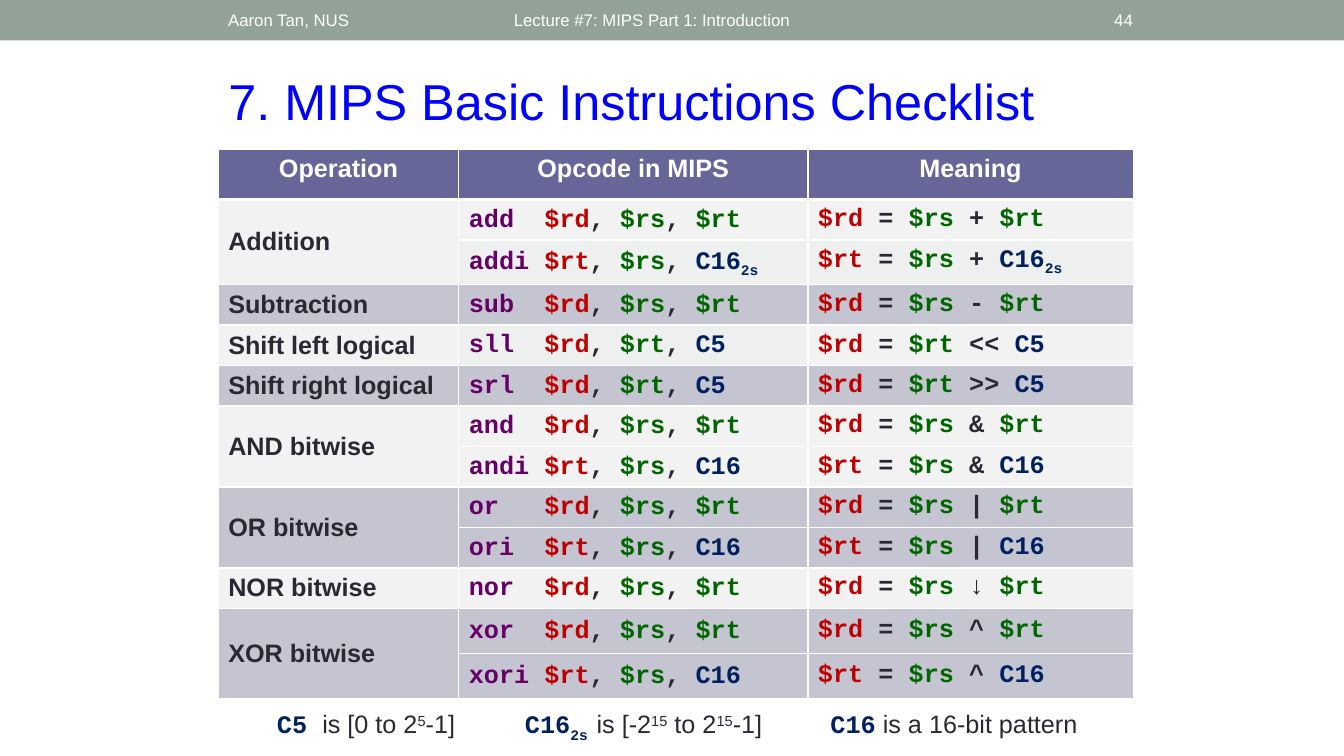
from lxml.etree import SubElement
from pptx import Presentation
from pptx.dml.color import RGBColor
from pptx.enum.shapes import MSO_SHAPE
from pptx.enum.text import MSO_ANCHOR, MSO_AUTO_SIZE, PP_ALIGN
from pptx.oxml.ns import qn
from pptx.util import Cm, Pt

WHITE = RGBColor(0xFF, 0xFF, 0xFF)
SAGE = RGBColor(0x93, 0xA2, 0x99)
BLUE = RGBColor(0x00, 0x00, 0xFF)
INK = RGBColor(0x29, 0x29, 0x34)
PURPLE = RGBColor(0x66, 0x00, 0x66)
RED = RGBColor(0xC0, 0x00, 0x00)
GREEN = RGBColor(0x00, 0x66, 0x00)
NAVY = RGBColor(0x00, 0x20, 0x60)
SLATE = RGBColor(0x66, 0x66, 0x99)
LIGHT = RGBColor(0xF2, 0xF2, 0xF2)
TINT = RGBColor(0xEE, 0xF0, 0xEF)
LILAC = RGBColor(0xC5, 0xC5, 0xD1)
SANS, MONO = "Arial", "Courier New"

HEADINGS = ["Operation", "Opcode in MIPS", "Meaning"]
OPERATIONS = [
    ("Addition", [("add", "$rd", "$rs", "+", "$rt"), ("addi", "$rt", "$rs", "+", "C16_2s")]),
    ("Subtraction", [("sub", "$rd", "$rs", "-", "$rt")]),
    ("Shift left logical", [("sll", "$rd", "$rt", "<<", "C5")]),
    ("Shift right logical", [("srl", "$rd", "$rt", ">>", "C5")]),
    ("AND bitwise", [("and", "$rd", "$rs", "&", "$rt"), ("andi", "$rt", "$rs", "&", "C16")]),
    ("OR bitwise", [("or", "$rd", "$rs", "|", "$rt"), ("ori", "$rt", "$rs", "|", "C16")]),
    ("NOR bitwise", [("nor", "$rd", "$rs", "↓", "$rt")]),
    ("XOR bitwise", [("xor", "$rd", "$rs", "^", "$rt"), ("xori", "$rt", "$rs", "^", "C16")]),
]
TINTED_CELLS = {(2, 1), (2, 2), (4, 1)}
COLUMN_WIDTHS = [6.06, 8.8, 8.2]
ROW_HEIGHTS = [1.26] + [1.02] * 10 + [1.14] * 2


def style(font, size, color, name=SANS, bold=False):
    """Set the look of a paragraph's font."""
    font.size, font.name, font.bold = Pt(size), name, bold
    font.color.rgb = color


def add_run(paragraph, text, color=None, baseline=0):
    """Append a run, raised or lowered by a percentage of its size."""
    run = paragraph.add_run()
    run.text = text
    if color is not None:
        run.font.color.rgb = color
    if baseline:
        run._r.get_or_add_rPr().set("baseline", str(baseline * 1000))
    return run


def add_operand(paragraph, operand):
    """Append a register, or a constant with its subscript."""
    base, _, subscript = operand.partition("_")
    color = GREEN if base.startswith("$") else NAVY
    add_run(paragraph, base, color)
    if subscript:
        add_run(paragraph, subscript, color, -25)


def add_running_header(slide, left, top, width, height):
    """Draw the bar with author, lecture and page number."""
    bar = slide.shapes.add_shape(MSO_SHAPE.RECTANGLE, left, top, width, height)
    bar.shadow.inherit = False
    bar.fill.solid()
    bar.fill.fore_color.rgb = SAGE
    bar.line.fill.background()
    for text, offset, label_width, align in [
        ("Lecture #7: MIPS Part 1: Introduction", 12.7, 15.24, PP_ALIGN.LEFT),
        ("Aaron Tan, NUS", 5.5, 7, PP_ALIGN.LEFT),
        ("44", 26.4, 2.4, PP_ALIGN.RIGHT),
    ]:
        label = slide.shapes.add_textbox(left + Cm(offset), top, Cm(label_width), height)
        frame = label.text_frame
        frame.word_wrap = True
        frame.vertical_anchor = MSO_ANCHOR.MIDDLE
        paragraph = frame.paragraphs[0]
        paragraph.text, paragraph.alignment = text, align
        style(paragraph.font, 12, WHITE)


def add_title(slide, left, top, width, height):
    """Fill and place the title placeholder."""
    title = slide.shapes.title
    title.left, title.top, title.width, title.height = left, top, width, height
    title.text_frame.vertical_anchor = MSO_ANCHOR.TOP
    title.text_frame.auto_size = MSO_AUTO_SIZE.NONE
    paragraph = title.text_frame.paragraphs[0]
    paragraph.text = "7. MIPS Basic Instructions Checklist"
    paragraph.alignment = PP_ALIGN.LEFT
    style(paragraph.font, 36, BLUE)


def paint_cell(cell, color, top=1, bottom=1):
    """Give a cell white borders and a fill."""
    properties = cell._tc.get_or_add_tcPr()
    for side, points in [("L", 1), ("R", 1), ("T", top), ("B", bottom)]:
        border = SubElement(properties, qn(f"a:ln{side}"), w=str(Pt(points)))
        SubElement(SubElement(border, qn("a:solidFill")), qn("a:srgbClr"), val=str(WHITE))
    cell.fill.solid()
    cell.fill.fore_color.rgb = color


def fill_instruction(opcode_cell, meaning_cell, instruction):
    """Write one instruction as assembly and as an expression."""
    mnemonic, target, source, symbol, operand = instruction
    opcode = opcode_cell.text_frame.paragraphs[0]
    meaning = meaning_cell.text_frame.paragraphs[0]
    opcode.line_spacing = 0.9
    add_run(opcode, f"{mnemonic:<5}", PURPLE)
    for paragraph, equals, joint in [(opcode, ", ", ", "), (meaning, " = ", f" {symbol} ")]:
        style(paragraph.font, 18, INK, MONO, True)
        add_run(paragraph, target, RED)
        add_run(paragraph, equals)
        add_operand(paragraph, source)
        add_run(paragraph, joint)
        add_operand(paragraph, operand)


def add_instruction_table(slide, left, top, width, height):
    """Build the checklist of operations, opcodes and meanings."""
    frame = slide.shapes.add_table(len(ROW_HEIGHTS), len(HEADINGS), left, top, width, height)
    table = frame.table
    table.horz_banding = False
    for column, column_width in zip(table.columns, COLUMN_WIDTHS):
        column.width = Cm(column_width)
    for row, row_height in zip(table.rows, ROW_HEIGHTS):
        row.height = Cm(row_height)
    for cell, heading in zip(table.rows[0].cells, HEADINGS):
        paint_cell(cell, SLATE, bottom=3)
        paragraph = cell.text_frame.paragraphs[0]
        paragraph.text, paragraph.alignment = heading, PP_ALIGN.CENTER
        style(paragraph.font, 18, WHITE, bold=True)
    first = 1
    for group, (operation, instructions) in enumerate(OPERATIONS):
        for row, instruction in enumerate(instructions, first):
            for column in range(len(HEADINGS)):
                cell = table.cell(row, column)
                band = LILAC if group % 2 else LIGHT
                color = TINT if (row, column) in TINTED_CELLS else band
                paint_cell(cell, color, top=3 if row == 1 else 1)
                cell.vertical_anchor = MSO_ANCHOR.MIDDLE
            fill_instruction(table.cell(row, 1), table.cell(row, 2), instruction)
        name_cell = table.cell(first, 0)
        if len(instructions) > 1:
            name_cell.merge(table.cell(row, 0))
        paragraph = name_cell.text_frame.paragraphs[0]
        paragraph.text = operation
        style(paragraph.font, 18, INK, bold=True)
        first += len(instructions)


def add_constant_ranges(slide, left, top, width, height):
    """Write the legend of constant sizes under the table."""
    legend = slide.shapes.add_textbox(left, top, width, height)
    legend.text_frame.word_wrap = True
    legend.text_frame.margin_left = Cm(1.48)
    paragraph = legend.text_frame.paragraphs[0]
    stops = SubElement(paragraph._p.get_or_add_pPr(), qn("a:tabLst"))
    for position in (6.25, 13.95):
        SubElement(stops, qn("a:tab"), pos=str(Cm(position)), algn="l")
    style(paragraph.font, 18, INK)
    for text, baseline, is_code in [
        ("C5 ", 0, True), ("is [0 to 2", 0, False), ("5", 30, False), ("-1]\t", 0, False),
        ("C16", 0, True), ("2s ", -25, True), ("is [-2", 0, False), ("15", 30, False),
        (" to 2", 0, False), ("15", 30, False), ("-1]\t", 0, False),
        ("C16", 0, True), (" is a 16-bit pattern", 0, False),
    ]:
        run = add_run(paragraph, text, NAVY if is_code else INK, baseline)
        if is_code:
            run.font.name, run.font.bold = MONO, True


def main():
    """Build the slide and save it."""
    deck = Presentation()
    deck.slide_width, deck.slide_height = Cm(33.87), Cm(19.05)
    slide = deck.slides.add_slide(deck.slide_layouts[5])
    add_running_header(slide, 0, 0, deck.slide_width, Cm(1.02))
    add_title(slide, Cm(5.5), Cm(1.63), Cm(23.3), Cm(1.8))
    add_instruction_table(slide, Cm(5.5), Cm(3.77), Cm(sum(COLUMN_WIDTHS)), Cm(sum(ROW_HEIGHTS)))
    add_constant_ranges(slide, Cm(5.5), Cm(17.73), Cm(23.06), Cm(1.02))
    deck.save("out.pptx")


if __name__ == "__main__":
    main()
